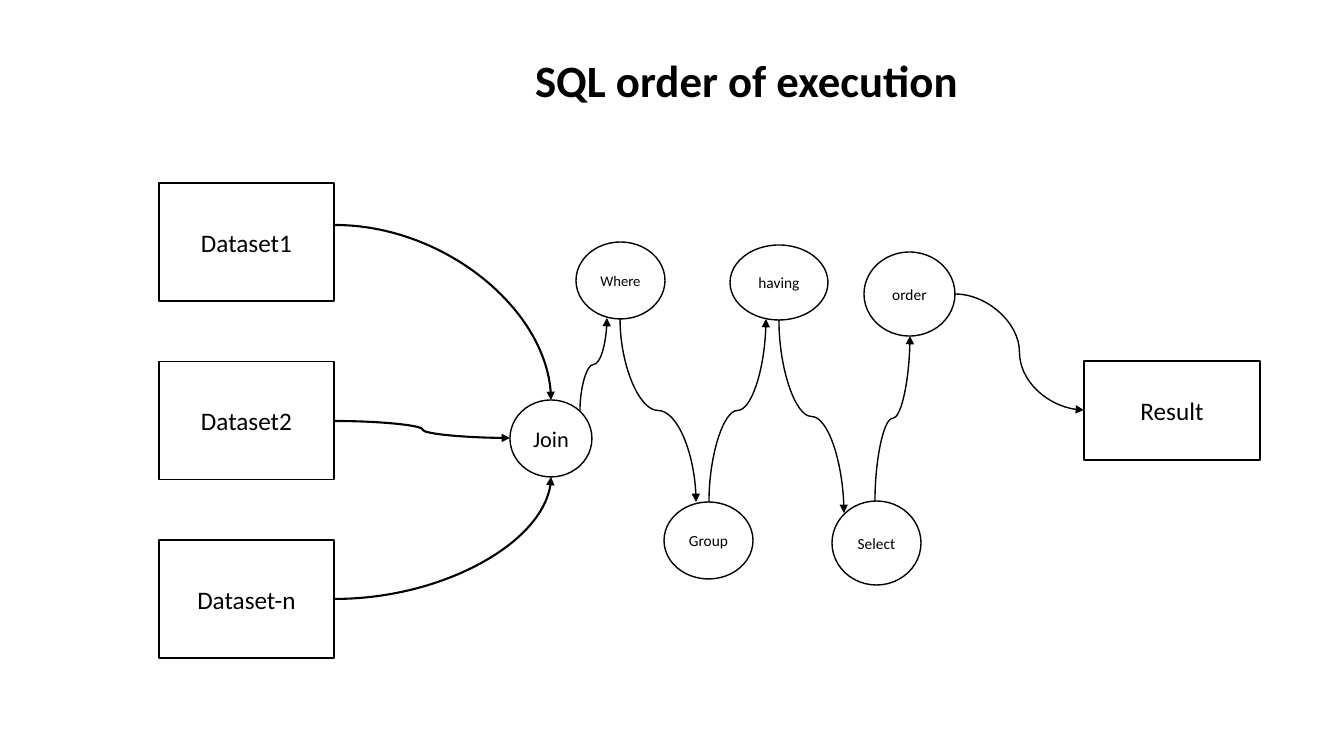
from lxml import etree
from pptx import Presentation
from pptx.dml.color import RGBColor
from pptx.enum.shapes import MSO_CONNECTOR, MSO_SHAPE
from pptx.enum.text import MSO_ANCHOR, MSO_AUTO_SIZE, PP_ALIGN
from pptx.oxml.ns import qn
from pptx.util import Pt

BLACK, WHITE = "000000", "FFFFFF"
RECT, OVAL = MSO_SHAPE.RECTANGLE, MSO_SHAPE.OVAL


def px(value):
    return round(value * 914400 / 100.8)


def color(hex_string):
    return RGBColor.from_string(hex_string)


deck = Presentation()
deck.slide_width, deck.slide_height = px(1344), px(756)
slide = deck.slides.add_slide(deck.slide_layouts[5])

# Title
title = slide.shapes.title
title.left, title.top, title.width, title.height = px(525), px(48), px(456), px(65)
heading = title.text_frame
heading.auto_size = MSO_AUTO_SIZE.NONE
heading.vertical_anchor = MSO_ANCHOR.TOP
heading.paragraphs[0].alignment = PP_ALIGN.LEFT
title_run = heading.paragraphs[0].add_run()
title_run.text = "SQL order of execution"
title_run.font.name, title_run.font.size, title_run.font.bold = "Calibri", Pt(32), True
title_run.font.color.rgb = color(BLACK)

# Datasets, query steps and result: kind, label, left, top, width, height, text size
steps = [(RECT, name, 159, 183 + 178.5 * row, 175, 118, 18)
         for row, name in enumerate(["Dataset1", "Dataset2", "Dataset-n"])]
steps += [
    (OVAL, "Join", 510, 400, 82, 77, 16),
    (OVAL, "Where", 576, 242, 89, 77, 10.5),
    (OVAL, "Group", 664, 502, 89, 77, 11),
    (OVAL, "having", 730, 245, 98, 75, 11),
    (OVAL, "Select", 832, 501, 89, 84, 11),
    (OVAL, "order", 864, 252, 91, 84, 11),
    (RECT, "Result", 1084, 361, 176, 99, 18),
]
for kind, label, left, top, width, height, size in steps:
    step = slide.shapes.add_shape(kind, px(left), px(top), px(width), px(height))
    step.shadow.inherit = False
    step.fill.solid()
    step.fill.fore_color.rgb = color(WHITE)
    step.line.color.rgb = color(BLACK)
    step.line.width = Pt(1)
    frame = step.text_frame
    frame.margin_left = frame.margin_right = 0
    frame.vertical_anchor = MSO_ANCHOR.MIDDLE
    frame.paragraphs[0].alignment = PP_ALIGN.CENTER
    run = frame.paragraphs[0].add_run()
    run.text = label
    run.font.name, run.font.size = "Calibri", Pt(size)
    run.font.color.rgb = color(BLACK)

# Flow arrows: route, start x, start y, end x, end y, line width
flows = [
    ("bend", 335, 225, 551, 400, 1.5),       # Dataset1 to Join
    ("across", 335, 421, 510, 438, 1.5),     # Dataset2 to Join
    ("bend", 335, 599, 551, 477, 1.5),       # Dataset-n to Join
    ("upright", 580, 411, 607, 318, 1),      # Join to Where
    ("upright", 620, 319, 696, 502, 1),      # Where to Group
    ("upright", 709, 502, 766, 319, 1),      # Group to having
    ("upright", 779, 320, 844, 513, 1),      # having to Select
    ("upright", 875, 501, 910, 336, 1),      # Select to order
    ("across", 955, 294, 1084, 410, 1),      # order to Result
]
for route, x1, y1, x2, y2, weight in flows:
    turn = 0
    if route == "upright":
        # An upright curve is a level one turned a quarter about its centre
        mid_x, mid_y = (x1 + x2) / 2, (y1 + y2) / 2
        half_length, half_width = abs(y2 - y1) / 2, (x2 - x1) / 2
        turn, slant = (270, 1) if y2 > y1 else (90, -1)
        x1, x2 = mid_x + half_length, mid_x - half_length
        y1, y2 = mid_y - slant * half_width, mid_y + slant * half_width
    arrow = slide.shapes.add_connector(MSO_CONNECTOR.CURVE, px(x1), px(y1), px(x2), px(y2))
    arrow.line.color.rgb = color(BLACK)
    arrow.line.width = Pt(weight)
    outline = arrow.line._get_or_add_ln()
    etree.SubElement(outline, qn("a:tailEnd"), type="triangle")
    properties = arrow._element.spPr
    etree.SubElement(properties, qn("a:effectLst"))
    if turn:
        properties.find(qn("a:xfrm")).set("rot", str(turn * 60000))
    if route == "bend":
        properties.find(qn("a:prstGeom")).set("prst", "curvedConnector2")

deck.save("out.pptx")
